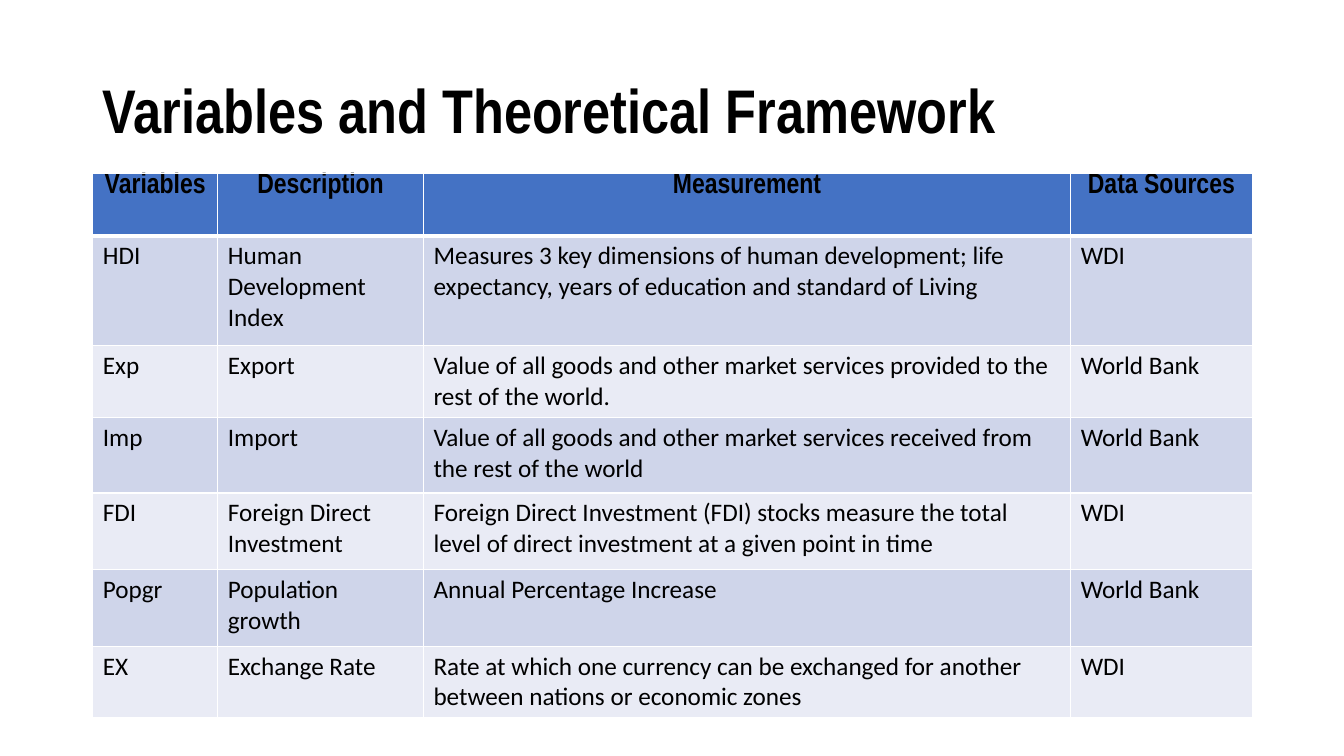
"""Build the slide on variables and the theoretical framework."""
from dataclasses import dataclass

from lxml import etree
from pptx import Presentation, util as u
from pptx.dml.color import RGBColor
from pptx.enum import text
from pptx.oxml import ns

PX = 9144


@dataclass(frozen=True)
class Theme:
    ink: str = "000000"
    line: str = "FFFFFF"
    header: str = "4472C4"
    bands: tuple = ("CFD5EA", "E9EBF5")
    head_font: str = "Arial Narrow"
    body_font: str = "Calibri"
    title_size: int = 44
    header_size: int = 20
    body_size: int = 18
    thin: int = 1
    thick: int = 3


class Deck:
    """Hold the theme and the current slide."""

    def __init__(self, theme, width, height):
        self.theme = theme
        self.prs = Presentation()
        self.prs.slide_width, self.prs.slide_height = width * PX, height * PX
        self.s = self.prs.slides.add_slide(self.prs.slide_layouts[5])

    def add_text(self, tf, words, size, font, bold, align):
        """Put one formatted run into a text frame."""
        p = tf.paragraphs[0]
        p.alignment = align
        r = p.add_run()
        r.text = words
        for name, value in {"size": u.Pt(size), "name": font, "bold": bold}.items():
            setattr(r.font, name, value)
        r.font.color.rgb = RGBColor.from_string(self.theme.ink)
        return p

    def title(self, words, left, top, width, height):
        """Place and format the title placeholder."""
        sp, t = self.s.shapes.title, self.theme
        box = {"left": left, "top": top, "width": width, "height": height}
        for name, value in box.items():
            setattr(sp, name, value * PX)
        tf = sp.text_frame
        frame = {"word_wrap": True, "auto_size": text.MSO_AUTO_SIZE.NONE,
                 "vertical_anchor": text.MSO_ANCHOR.MIDDLE}
        for name, value in frame.items():
            setattr(tf, name, value)
        p = self.add_text(tf, words, t.title_size, t.head_font, True, text.PP_ALIGN.LEFT)
        p.line_spacing = 0.9

    def borders(self, cell, top, bottom):
        """Draw the four borders of a cell."""
        tc_pr = cell._tc.get_or_add_tcPr()
        widths = {"L": self.theme.thin, "R": self.theme.thin, "T": top, "B": bottom}
        for side, width in widths.items():
            ln = etree.SubElement(tc_pr, ns.qn(f"a:ln{side}"), w=str(u.Pt(width)))
            fill = etree.SubElement(ln, ns.qn("a:solidFill"))
            etree.SubElement(fill, ns.qn("a:srgbClr"), val=self.theme.line)

    def table(self, rows, left, top, widths, heights):
        """Add a table with a header row and banded body rows."""
        t = self.theme
        grid = self.s.shapes.add_table(len(rows), len(widths), left * PX, top * PX,
                                       sum(widths) * PX, sum(heights) * PX).table
        for column, width in zip(grid.columns, widths):
            column.width = width * PX
        for i, (row, height) in enumerate(zip(rows, heights)):
            grid.rows[i].height = height * PX
            head = i == 0
            for j, words in enumerate(row):
                cell = grid.cell(i, j)
                self.borders(cell, t.thick if i == 1 else t.thin,
                             t.thick if head else t.thin)
                cell.fill.solid()
                color = t.header if head else t.bands[(i - 1) % 2]
                cell.fill.fore_color.rgb = RGBColor.from_string(color)
                if head:
                    cell.margin_top = cell.margin_bottom = 0
                    style = t.header_size, t.head_font, True, text.PP_ALIGN.CENTER
                else:
                    style = t.body_size, t.body_font, False, text.PP_ALIGN.LEFT
                self.add_text(cell.text_frame, words, *style)


ROWS = [
    ("Variables", "Description", "Measurement", "Data Sources"),
    ("HDI", "Human Development Index",
     "Measures 3 key dimensions of human development; life expectancy, "
     "years of education and standard of Living", "WDI"),
    ("Exp", "Export",
     "Value of all goods and other market services provided to the rest of the world.",
     "World Bank"),
    ("Imp", "Import",
     "Value of all goods and other market services received from the rest of the world",
     "World Bank"),
    ("FDI", "Foreign Direct Investment",
     "Foreign Direct Investment (FDI) stocks measure the total level of direct "
     "investment at a given point in time", "WDI"),
    ("Popgr", "Population growth", "Annual Percentage Increase", "World Bank"),
    ("EX", "Exchange Rate",
     "Rate at which one currency can be exchanged for another between nations "
     "or economic zones", "WDI"),
]


def main():
    """Build and save the slide."""
    deck = Deck(Theme(), 1333, 750)
    deck.title("Variables and Theoretical Framework", 92, 40, 1150, 145)
    deck.table(ROWS, 92, 172, (124, 204, 642, 180), (62, 109, 70, 75, 76, 76, 70))
    deck.prs.save("out.pptx")


if __name__ == "__main__":
    main()
